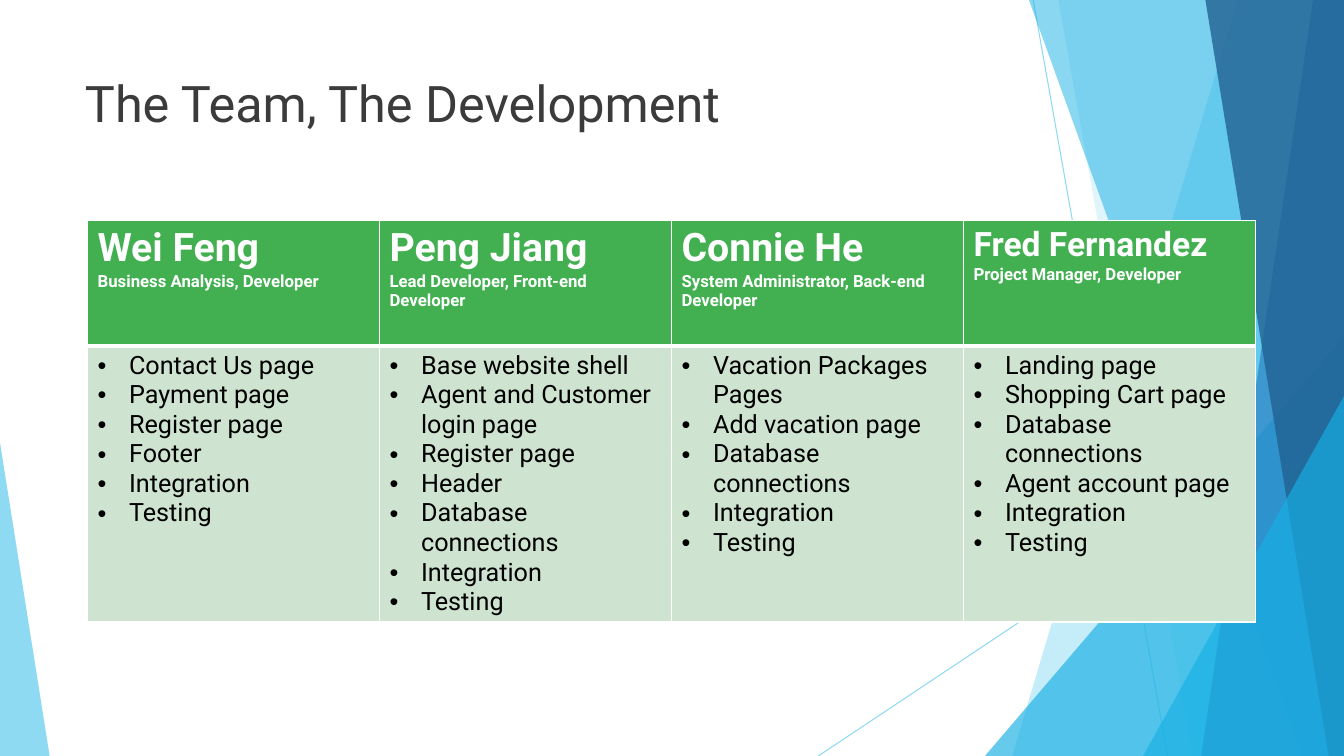
from lxml import etree
from pptx import Presentation
from pptx.dml.color import RGBColor
from pptx.enum.shapes import MSO_CONNECTOR, MSO_SHAPE
from pptx.enum.text import MSO_ANCHOR, MSO_AUTO_SIZE, PP_ALIGN
from pptx.oxml.ns import qn
from pptx.util import Pt

STRAIGHT = MSO_CONNECTOR.STRAIGHT
TRIANGLE = MSO_SHAPE.ISOSCELES_TRIANGLE
TOP = MSO_ANCHOR.TOP
LEFT = PP_ALIGN.LEFT
FIXED = MSO_AUTO_SIZE.NONE

WIDE, HIGH = 960, 540
FONT = "Roboto"
SKY = RGBColor(0x5F, 0xCB, 0xEF)
CYAN = RGBColor(0x17, 0xB0, 0xE4)
BLUE = RGBColor(0x2E, 0x83, 0xC3)
NAVY = RGBColor(0x22, 0x62, 0x92)
GREY = RGBColor(0x3B, 0x3B, 0x3B)
GREEN = RGBColor(0x42, 0xB0, 0x51)
PALE = RGBColor(0xCF, 0xE4, 0xD0)
WHITE = RGBColor(0xFF, 0xFF, 0xFF)
BLACK = RGBColor(0, 0, 0)

TEAM = [
    ("Wei Feng", 28, "Business Analysis, Developer",
     ["Contact Us page", "Payment page", "Register page", "Footer",
      "Integration", "Testing"]),
    ("Peng Jiang", 28, "Lead Developer, Front-end Developer",
     ["Base website shell", "Agent and Customer login page", "Register page",
      "Header", "Database connections", "Integration", "Testing"]),
    ("Connie He", 28, "System Administrator, Back-end Developer",
     ["Vacation Packages Pages", "Add vacation page", "Database connections",
      "Integration", "Testing"]),
    ("Fred Fernandez", 24, "Project Manager, Developer",
     ["Landing page", "Shopping Cart page", "Database connections",
      "Agent account page", "Integration", "Testing"]),
]


def fade(shape, share):
    color = shape._element.spPr.find(".//" + qn("a:srgbClr"))
    etree.SubElement(color, qn("a:alpha"), val=str(share * 1000))


def paint(shape, color, share):
    shape.shadow.inherit = False
    shape.fill.solid()
    shape.fill.fore_color.rgb = color
    shape.line.fill.background()
    fade(shape, share)


def add_ray(shapes, start, end):
    ray = shapes.add_connector(STRAIGHT, *map(Pt, start + end))
    ray.line.color.rgb = SKY
    ray.line.width = Pt(0.75)
    fade(ray, 70)
    etree.SubElement(ray._element.spPr, qn("a:effectLst"))


def add_band(shapes, top, foot, color, share):
    path = shapes.build_freeform(top, 0, scale=Pt(1))
    path.add_line_segments([(WIDE, 0), (WIDE, HIGH), (foot, HIGH)])
    paint(path.convert_to_shape(), color, share)


def add_peak(shapes, left, top, width, tip, color, share):
    peak = shapes.add_shape(TRIANGLE, Pt(left), Pt(top), Pt(width),
                            Pt(HIGH - top))
    peak.adjustments[0] = tip
    paint(peak, color, share)


def add_decor(shapes):
    add_ray(shapes, (738, 0), (834, HIGH))
    add_ray(shapes, (WIDE, 290), (584.5, HIGH))
    add_band(shapes, 884, 723, SKY, 36)
    add_band(shapes, 756, 852, SKY, 20)
    add_peak(shapes, 703.5, 240, 256.5, 1, CYAN, 66)
    add_band(shapes, 735, 929.5, CYAN, 50)
    add_band(shapes, 938, 858, BLUE, 70)
    add_band(shapes, 861, 949, NAVY, 80)
    add_peak(shapes, 816.5, 283, 143.5, 1, CYAN, 66)
    add_peak(shapes, 0, 316, 35.5, 0, SKY, 70)


def style(para, size, color, bold=False):
    para.alignment = LEFT
    font = para.font
    font.name, font.size, font.bold = FONT, Pt(size), bold
    font.color.rgb = color


def add_title(title, left, top, width, height):
    title.left, title.top = Pt(left), Pt(top)
    title.width, title.height = Pt(width), Pt(height)
    frame = title.text_frame
    frame.auto_size = FIXED
    frame.vertical_anchor = TOP
    frame.text = "The Team, The Development"
    style(frame.paragraphs[0], 36, GREY)


def add_edge(props, side, width):
    edge = etree.SubElement(props, qn("a:ln" + side), w=str(Pt(width)))
    fill = etree.SubElement(edge, qn("a:solidFill"))
    etree.SubElement(fill, qn("a:srgbClr"), val=str(WHITE))


def dress(cell, color, top, foot):
    props = cell._tc.get_or_add_tcPr()
    for side, width in (("L", 1), ("R", 1), ("T", top), ("B", foot)):
        add_edge(props, side, width)
    cell.fill.solid()
    cell.fill.fore_color.rgb = color
    cell.vertical_anchor = TOP


def fill_head(cell, name, size, role):
    dress(cell, GREEN, 1, 3)
    frame = cell.text_frame
    frame.text = name + "\n" + role
    for para, points in zip(frame.paragraphs, (size, 12)):
        style(para, points, WHITE, True)


def fill_tasks(cell, tasks):
    dress(cell, PALE, 3, 1)
    frame = cell.text_frame
    frame.text = "\n".join(tasks)
    for para in frame.paragraphs:
        props = para._p.get_or_add_pPr()
        props.set("marL", str(Pt(22.5)))
        props.set("indent", str(-Pt(22.5)))
        etree.SubElement(props, qn("a:buFont"), typeface="Arial")
        etree.SubElement(props, qn("a:buChar"), char="•")
        style(para, 18, BLACK)


def add_team(shapes, left, top, width, rows):
    table = shapes.add_table(len(rows), len(TEAM), Pt(left), Pt(top),
                             Pt(width), Pt(sum(rows))).table
    for row, height in zip(table.rows, rows):
        row.height = Pt(height)
    for col, (name, size, role, tasks) in enumerate(TEAM):
        table.columns[col].width = Pt(width / len(TEAM))
        fill_head(table.cell(0, col), name, size, role)
        fill_tasks(table.cell(1, col), tasks)


def main():
    deck = Presentation()
    deck.slide_width, deck.slide_height = Pt(WIDE), Pt(HIGH)
    slide = deck.slides.add_slide(deck.slide_layouts[5])
    add_decor(slide.shapes)
    add_title(slide.shapes.title, 53.5, 48, 677, 104)
    add_team(slide.shapes, 62.5, 157.5, 834.4, (89.5, 197))
    deck.save("out.pptx")


if __name__ == "__main__":
    main()
